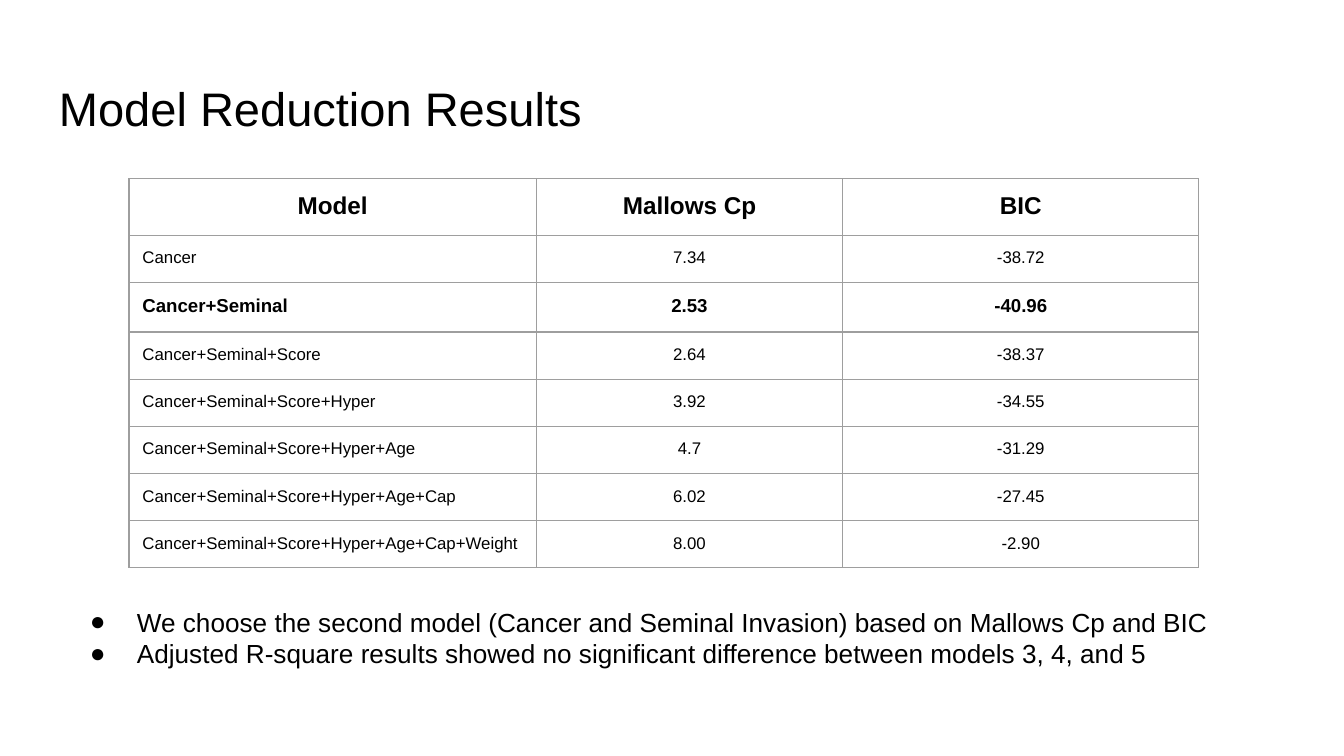
from lxml.etree import SubElement
from pptx import Presentation
from pptx.dml.color import RGBColor
from pptx.enum.text import MSO_ANCHOR as Anchor, PP_ALIGN as Align
from pptx.oxml.ns import qn
from pptx.util import Inches, Pt

BLACK = RGBColor(0x00, 0x00, 0x00)
GRID = RGBColor(0x9E, 0x9E, 0x9E)
FONT = "Arial"
INSET = Inches(0.1)

TITLE = "Model Reduction Results"
HEADERS = ["Model", "Mallows Cp", "BIC"]
PREDICTORS = ["Cancer", "Seminal", "Score", "Hyper", "Age", "Cap", "Weight"]
SCORES = [
    ("7.34", "-38.72"),
    ("2.53", "-40.96"),
    ("2.64", "-38.37"),
    ("3.92", "-34.55"),
    ("4.7", "-31.29"),
    ("6.02", "-27.45"),
    ("8.00", "-2.90"),
]
CHOSEN_ROW = 2
FINDINGS = [
    "We choose the second model (Cancer and Seminal Invasion) based on Mallows Cp and BIC",
    "Adjusted R-square results showed no significant difference between models 3, 4, and 5",
]


def write(paragraph, text, size, bold=False, align=Align.LEFT):
    paragraph.alignment = align
    run = paragraph.add_run()
    run.text = text
    run.font.name = FONT
    run.font.size = Pt(size)
    run.font.bold = bold
    run.font.color.rgb = BLACK


def set_margins(target):
    target.margin_left = target.margin_right = INSET
    target.margin_top = target.margin_bottom = INSET


def add_text_box(slide, box, lines, size, anchor=Anchor.TOP):
    frame = slide.shapes.add_textbox(*map(Inches, box)).text_frame
    frame.word_wrap = True
    frame.vertical_anchor = anchor
    set_margins(frame)
    for index, line in enumerate(lines):
        paragraph = frame.add_paragraph() if index else frame.paragraphs[0]
        write(paragraph, line, size)
    return frame


def add_bullet(paragraph):
    properties = paragraph._p.get_or_add_pPr()
    properties.set("marL", str(Inches(0.5)))
    properties.set("indent", str(Inches(-0.35)))
    color = SubElement(properties, qn("a:buClr"))
    SubElement(color, qn("a:srgbClr"), val=str(BLACK))
    SubElement(properties, qn("a:buFont"), typeface=FONT)
    SubElement(properties, qn("a:buChar"), char="●")


def add_borders(cell):
    properties = cell._tc.get_or_add_tcPr()
    for position, side in enumerate(("a:lnL", "a:lnR", "a:lnT", "a:lnB")):
        line = properties.makeelement(qn(side), {"w": str(Pt(0.75))})
        fill = SubElement(line, qn("a:solidFill"))
        SubElement(fill, qn("a:srgbClr"), val=str(GRID))
        properties.insert(position, line)


def row_format(row):
    if row == 0:
        return 0.42, 13, True
    if row == CHOSEN_ROW:
        return 0.37, 10, True
    return 0.35, 9, False


def add_model_table(slide, box, widths):
    models = ["+".join(PREDICTORS[:count + 1]) for count in range(len(PREDICTORS))]
    rows = [HEADERS] + [[model, *scores] for model, scores in zip(models, SCORES)]
    table = slide.shapes.add_table(len(rows), len(HEADERS), *map(Inches, box)).table
    table.first_row = table.horz_banding = False
    for column, width in zip(table.columns, widths):
        column.width = Inches(width)
    for row, values in enumerate(rows):
        height, size, bold = row_format(row)
        table.rows[row].height = Inches(height)
        for column, value in enumerate(values):
            cell = table.cell(row, column)
            cell.fill.background()
            set_margins(cell)
            align = Align.LEFT if row and column == 0 else Align.CENTER
            write(cell.text_frame.paragraphs[0], value, size, bold=bold, align=align)
            add_borders(cell)


def add_findings(slide, box):
    frame = add_text_box(slide, box, FINDINGS, 14)
    for paragraph in frame.paragraphs:
        add_bullet(paragraph)


def build():
    presentation = Presentation()
    presentation.slide_width = Inches(10)
    presentation.slide_height = presentation.slide_width * 9 // 16
    slide = presentation.slides.add_slide(presentation.slide_layouts[6])
    add_text_box(slide, (0.34, 0.49, 9.32, 0.63), [TITLE], 25.2, anchor=Anchor.TOP)
    add_model_table(slide, (0.96, 1.33, 7.96, 2.89), (3.03, 2.28, 2.65))
    add_findings(slide, (0.42, 4.41, 9.16, 0.67))
    presentation.save("out.pptx")


build()
